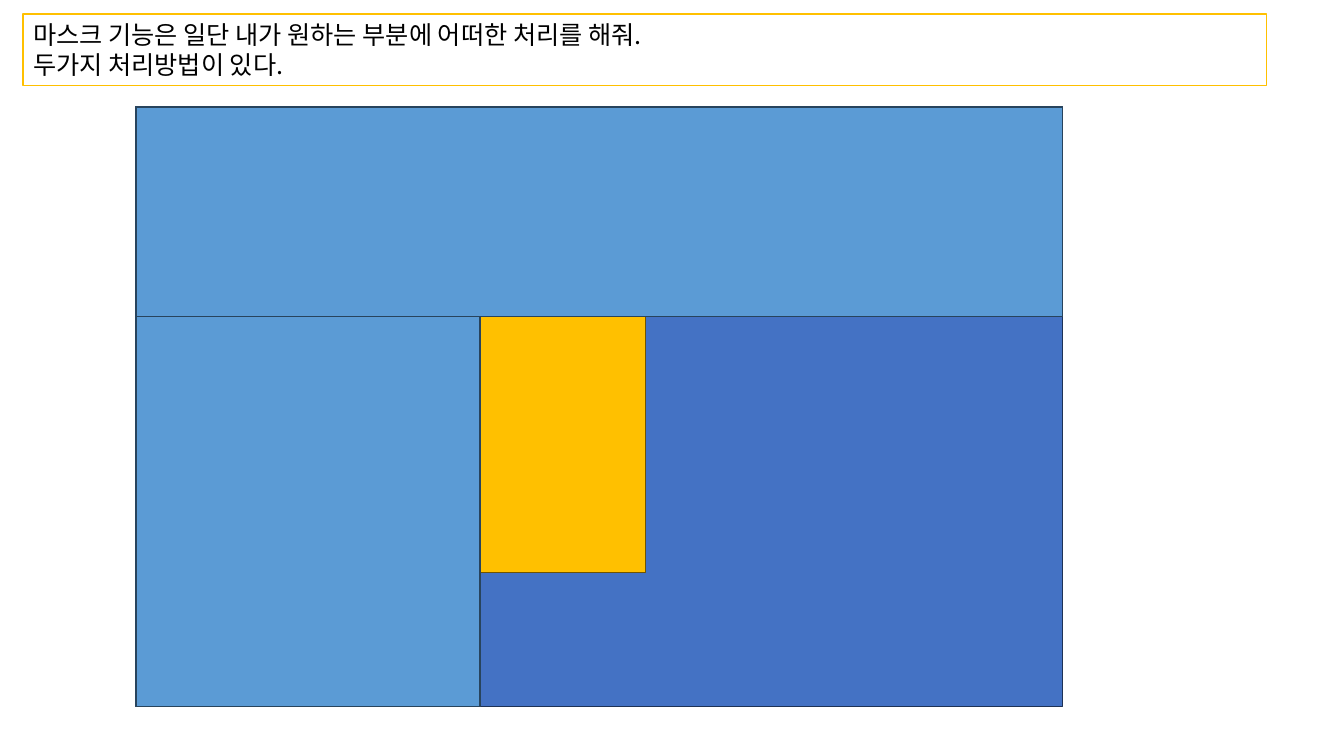
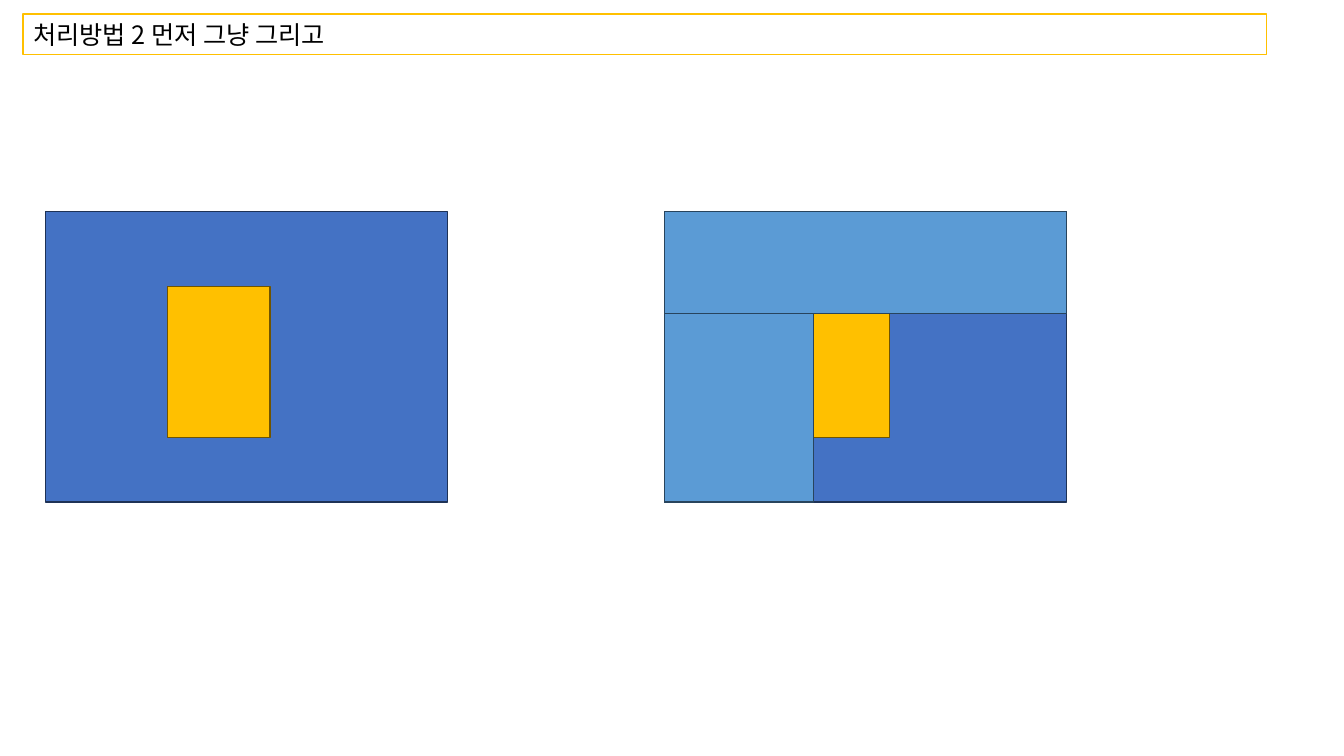
from dataclasses import dataclass

from lxml.etree import SubElement
from pptx import Presentation
from pptx.dml.color import RGBColor
from pptx.enum.shapes import MSO_SHAPE
from pptx.enum.text import MSO_ANCHOR, PP_ALIGN
from pptx.oxml.ns import qn
from pptx.util import Emu, Pt

EMU_PER_PX = 9144  # 100 px to the inch


def px(length):
    return Emu(length * EMU_PER_PX)


@dataclass(frozen=True)
class Paint:
    fill: str
    line: str


@dataclass(frozen=True)
class Theme:
    font: str = "Noto Sans CJK KR"
    text_size: int = 18
    line_width: int = 1
    text_color: str = "000000"
    banner: Paint = Paint("FFFFFF", "FFC000")
    canvas: Paint = Paint("4472C4", "1E3256")
    target: Paint = Paint("FFC000", "705400")
    mask: Paint = Paint("5B9BD5", "28445D")


@dataclass(frozen=True)
class Drawing:
    """Sizes of a canvas, the target inside it and the masks on its edges."""
    width: int
    height: int
    target: tuple  # left, top, width, height, from the canvas corner
    mask_width: int
    mask_height: int


class Deck:
    def __init__(self, theme):
        self.theme = theme
        self.presentation = Presentation()
        self.presentation.slide_width = px(1333)
        self.presentation.slide_height = px(750)
        self.slide = None

    def new_slide(self):
        layout = self.presentation.slide_layouts[6]
        self.slide = self.presentation.slides.add_slide(layout)

    def rectangle(self, shapes, left, top, width, height, paint):
        shape = shapes.add_shape(
            MSO_SHAPE.RECTANGLE, px(left), px(top), px(width), px(height))
        shape.shadow.inherit = False
        shape.fill.solid()
        shape.fill.fore_color.rgb = RGBColor.from_string(paint.fill)
        shape.line.color.rgb = RGBColor.from_string(paint.line)
        shape.line.width = Pt(self.theme.line_width)
        return shape

    def run(self, paragraph, text):
        run = paragraph.add_run()
        run.text = text
        run.font.size = Pt(self.theme.text_size)
        run.font.color.rgb = RGBColor.from_string(self.theme.text_color)
        run.font.name = self.theme.font
        # Hangul takes its typeface from the East Asian font
        east_asian = SubElement(run.font._element, qn("a:ea"))
        east_asian.set("typeface", self.theme.font)

    def banner(self, height, lines):
        shape = self.rectangle(
            self.slide.shapes, 23, 14, 1233, height, self.theme.banner)
        frame = shape.text_frame
        frame.word_wrap = True
        frame.vertical_anchor = MSO_ANCHOR.TOP
        for index, line in enumerate(lines):
            paragraph = frame.add_paragraph() if index else frame.paragraphs[0]
            paragraph.alignment = PP_ALIGN.LEFT
            self.run(paragraph, line)

    def scene(self, left, top, drawing):
        """Draw the canvas with its target."""
        shapes = self.slide.shapes.add_group_shape().shapes
        self.rectangle(shapes, left, top, drawing.width, drawing.height,
                       self.theme.canvas)
        x, y, width, height = drawing.target
        self.rectangle(shapes, left + x, top + y, width, height,
                       self.theme.target)

    def masks(self, left, top, drawing):
        """Cover the left and top edges of a scene."""
        shapes = self.slide.shapes.add_group_shape().shapes
        for width, height in ((drawing.mask_width, drawing.height),
                              (drawing.width, drawing.mask_height)):
            self.rectangle(shapes, left, top, width, height, self.theme.mask)

    def masked_scene(self, left, top, drawing):
        self.scene(left, top, drawing)
        self.masks(left, top, drawing)


def main():
    deck = Deck(Theme())
    large = Drawing(919, 595, (271, 152, 234, 310), 341, 208)
    small = Drawing(399, 288, (121, 74, 102, 150), 148, 101)

    # What a mask does
    deck.new_slide()
    deck.banner(71, ["마스크 기능은 일단 내가 원하는 부분에 어떠한 처리를 해줘.",
                     "두가지 처리방법이 있다."])
    deck.masked_scene(135, 106, large)

    # Second method: draw first, then mask
    deck.new_slide()
    deck.banner(40, ["처리방법 2 먼저 그냥 그리고"])
    deck.scene(45, 210, small)
    deck.masked_scene(659, 210, small)

    deck.presentation.save("out.pptx")


if __name__ == "__main__":
    main()
